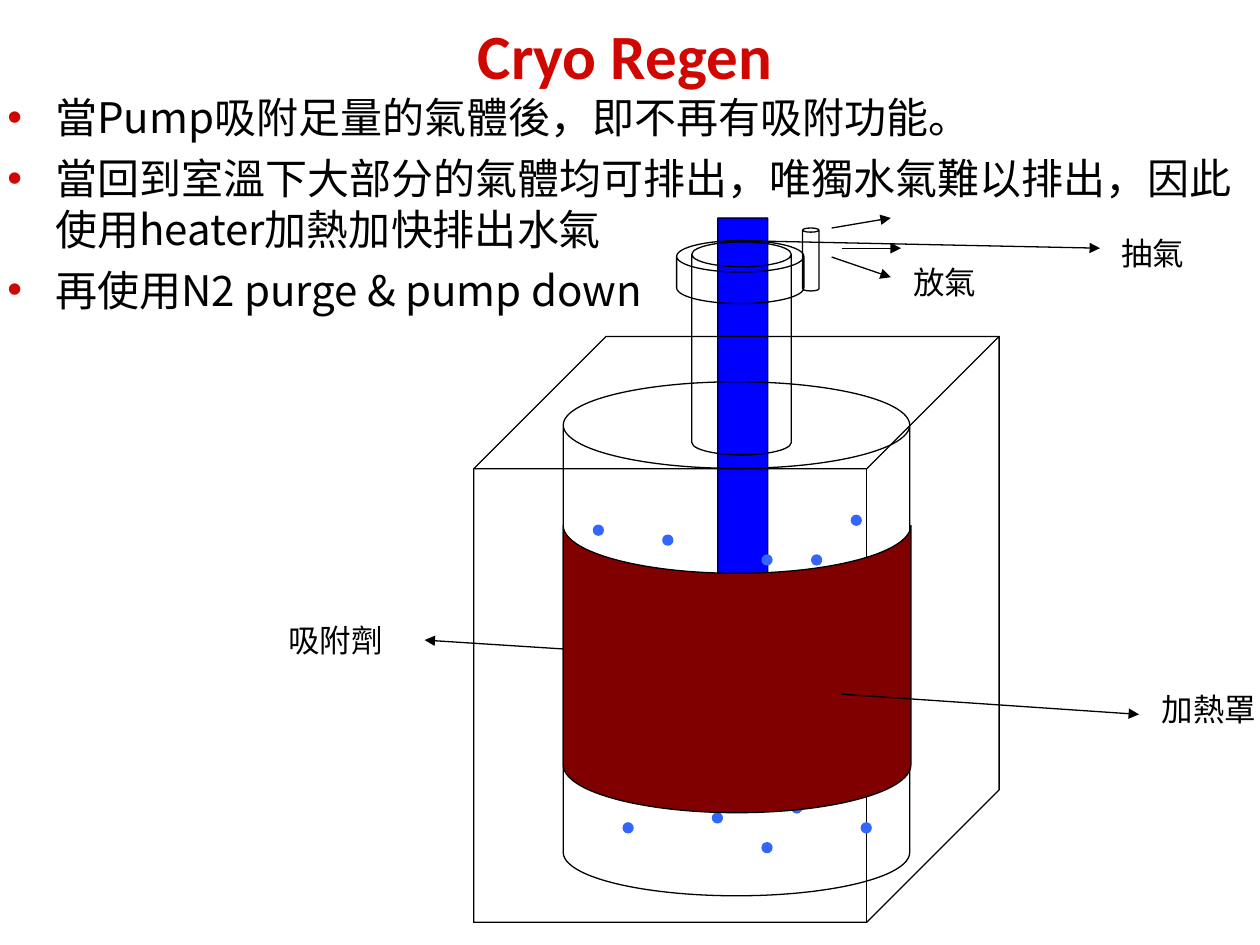
from dataclasses import dataclass

from lxml import etree
from pptx import Presentation
from pptx import util as u
from pptx.dml.color import RGBColor
from pptx.enum import shapes, text
from pptx.oxml.ns import qn

WIDTH, HEIGHT = 10, 7.5
UNIT = WIDTH / 127  # drawing grid; one bubble fills one cell
BLACK, RED, BLUE, MAROON, BUBBLE = "000000", "D00600", "0000FF", "800000", "3366FF"
LINE_WIDTH = u.Pt(0.75)
KIND = shapes.MSO_SHAPE


@dataclass
class Part:
    kind: shapes.MSO_SHAPE
    box: tuple[float, float, float, float]
    adjust: tuple[float, ...] = ()
    fill: str | None = None
    line: str = BLACK
    rotation: float = 0


@dataclass
class Arrow:
    start: tuple[float, float]
    end: tuple[float, float]


@dataclass
class Label:
    wording: str
    box: tuple[float, float, float, float]


def color(value: str) -> RGBColor:
    return RGBColor.from_string(value)


def inches(values) -> list[int]:
    return [u.Inches(value) for value in values]


def style_run(run, size: float, font: str, shade: str) -> None:
    run.font.size = u.Pt(size)
    run.font.name = font
    run.font.color.rgb = color(shade)
    etree.SubElement(run.font._element, qn("a:ea"), typeface=font)


def draw_part(slide, part: Part) -> None:
    shape = slide.shapes.add_shape(part.kind, *inches(part.box))
    shape.shadow.inherit = False
    shape.rotation = part.rotation
    for index, value in enumerate(part.adjust):
        shape.adjustments[index] = value
    if part.fill:
        shape.fill.solid()
        shape.fill.fore_color.rgb = color(part.fill)
    else:
        shape.fill.background()
    shape.line.color.rgb = color(part.line)
    shape.line.width = LINE_WIDTH


def draw_arrow(slide, arrow: Arrow) -> None:
    line = slide.shapes.add_connector(
        shapes.MSO_CONNECTOR.STRAIGHT, *inches(arrow.start + arrow.end))
    line.line.color.rgb = color(BLACK)
    line.line.width = LINE_WIDTH
    etree.SubElement(line.line._get_or_add_ln(), qn("a:tailEnd"), type="triangle")
    etree.SubElement(line._element.spPr, qn("a:effectLst"))


def draw_label(slide, label: Label) -> None:
    frame = slide.shapes.add_textbox(*inches(label.box)).text_frame
    frame.word_wrap = True
    frame.text = label.wording
    frame.paragraphs[0].space_before = u.Pt(11.2)
    style_run(frame.paragraphs[0].runs[0], 18, "Arial", BLACK)


def draw_title(slide, wording: str) -> None:
    title = slide.shapes.title
    title.left, title.top, title.width, title.height = inches((0.46, 0, 9, 0.86))
    title.text_frame.text = wording
    title.text_frame.vertical_anchor = text.MSO_ANCHOR.MIDDLE
    heading = title.text_frame.paragraphs[0]
    heading.alignment = text.PP_ALIGN.CENTER
    style_run(heading.runs[0], 36, "Calibri", RED)
    heading.runs[0].font.bold = True


def draw_bullets(slide, points: list[str]) -> None:
    frame = slide.shapes.add_textbox(*inches((-0.04, 0.68, 10.04, 4.95))).text_frame
    frame.word_wrap = True
    frame.text = "\n".join(points)
    for paragraph in frame.paragraphs:
        paragraph.space_before = u.Pt(6)
        style_run(paragraph.runs[0], 24, "Noto Sans CJK SC", BLACK)
        props = paragraph._p.get_or_add_pPr()
        props.set("marL", str(u.Inches(0.38)))
        props.set("indent", str(u.Inches(-0.38)))
        bullet_color = etree.SubElement(props, qn("a:buClr"))
        etree.SubElement(bullet_color, qn("a:srgbClr"), val=RED)
        etree.SubElement(props, qn("a:buFont"), typeface="Arial")
        etree.SubElement(props, qn("a:buChar"), char="•")


POINTS = [
    "當Pump吸附足量的氣體後，即不再有吸附功能。",
    "當回到室溫下大部分的氣體均可排出，唯獨水氣難以排出，因此使用heater加熱加快排出水氣",
    "再使用N2 purge & pump down",
]

# Cold finger, vessel, neck, flange and vent tube
VESSEL = [
    Part(KIND.DOWN_ARROW, (5.5, 1.73, 0.79, 4.02), (0.5, 1.276), BLUE),
    Part(KIND.CAN, (4.47, 3.03, 2.75, 4.08), (0.25,)),
    Part(KIND.CAN, (5.49, 1.92, 0.79, 1.69), (0.25,)),
    Part(KIND.CAN, (5.37, 1.91, 1.01, 0.5), (0.5,)),
    Part(KIND.CAN, (6.37, 1.81, 0.13, 0.5), (0.256,)),
]
HEATING_JACKET = Part(KIND.CUBE, (3.76, 2.67, 4.17, 4.65), (0.252,))
ADSORBENT = Part(KIND.FLOWCHART_STORED_DATA, (4.71, 3.93, 2.28, 2.76),
                 fill=MAROON, rotation=270)

# Gas bubbles as (column, row) of the drawing grid
BUBBLE_ORIGIN = (4.71, 4.09)
BUBBLES = [
    (7, 2), (3, 7), (2, 18), (13, 7), (9, 9), (10, 19), (22, 4), (0, 1),
    (9, 13), (25, 17), (17, 4), (13, 24), (5, 15), (8, 28), (26, 0), (2, 13),
    (6, 20), (3, 31), (20, 8), (28, 4), (0, 23), (19, 13), (17, 33), (4, 26),
    (28, 20), (22, 21), (25, 10), (14, 17), (14, 12), (12, 30), (20, 29),
    (12, 16), (15, 19), (18, 22), (21, 25), (27, 31), (16, 28),
]

ADSORBENT_ARROW = Arrow((4.93, 5.18), (3.37, 5.08))
PUMPING_ARROW = Arrow((5.87, 1.91), (8.73, 1.97))
VENT_ARROWS = [
    Arrow((6.6, 2.04), (7.07, 2.2)),
    Arrow((6.6, 1.81), (7.07, 1.73)),
    Arrow((6.68, 1.97), (7.15, 1.97)),
]
JACKET_ARROW = Arrow((6.68, 5.51), (9.04, 5.67))
LABELS = [
    Label("吸附劑", (2.19, 4.88, 1.18, 0.4)),
    Label("抽氣", (8.8, 1.81, 1.81, 0.4)),
    Label("放氣", (7.15, 2.04, 1.18, 0.4)),
    Label("加熱罩", (9.12, 5.43, 1.18, 0.4)),
]


def main() -> None:
    deck = Presentation()
    deck.slide_width, deck.slide_height = inches((WIDTH, HEIGHT))
    slide = deck.slides.add_slide(deck.slide_layouts.get_by_name("Title Only"))

    draw_title(slide, "Cryo Regen")
    draw_bullets(slide, POINTS)

    # Pump, from back to front
    for part in VESSEL:
        draw_part(slide, part)
    draw_arrow(slide, ADSORBENT_ARROW)
    draw_part(slide, HEATING_JACKET)
    draw_arrow(slide, PUMPING_ARROW)
    left, top = BUBBLE_ORIGIN
    for column, row in BUBBLES:
        cell = (left + column * UNIT, top + row * UNIT, UNIT, UNIT)
        draw_part(slide, Part(KIND.OVAL, cell, fill=BUBBLE, line=BUBBLE))
    for arrow in VENT_ARROWS:
        draw_arrow(slide, arrow)
    draw_part(slide, ADSORBENT)
    draw_arrow(slide, JACKET_ARROW)

    for label in LABELS:
        draw_label(slide, label)
    deck.save("out.pptx")


if __name__ == "__main__":
    main()
